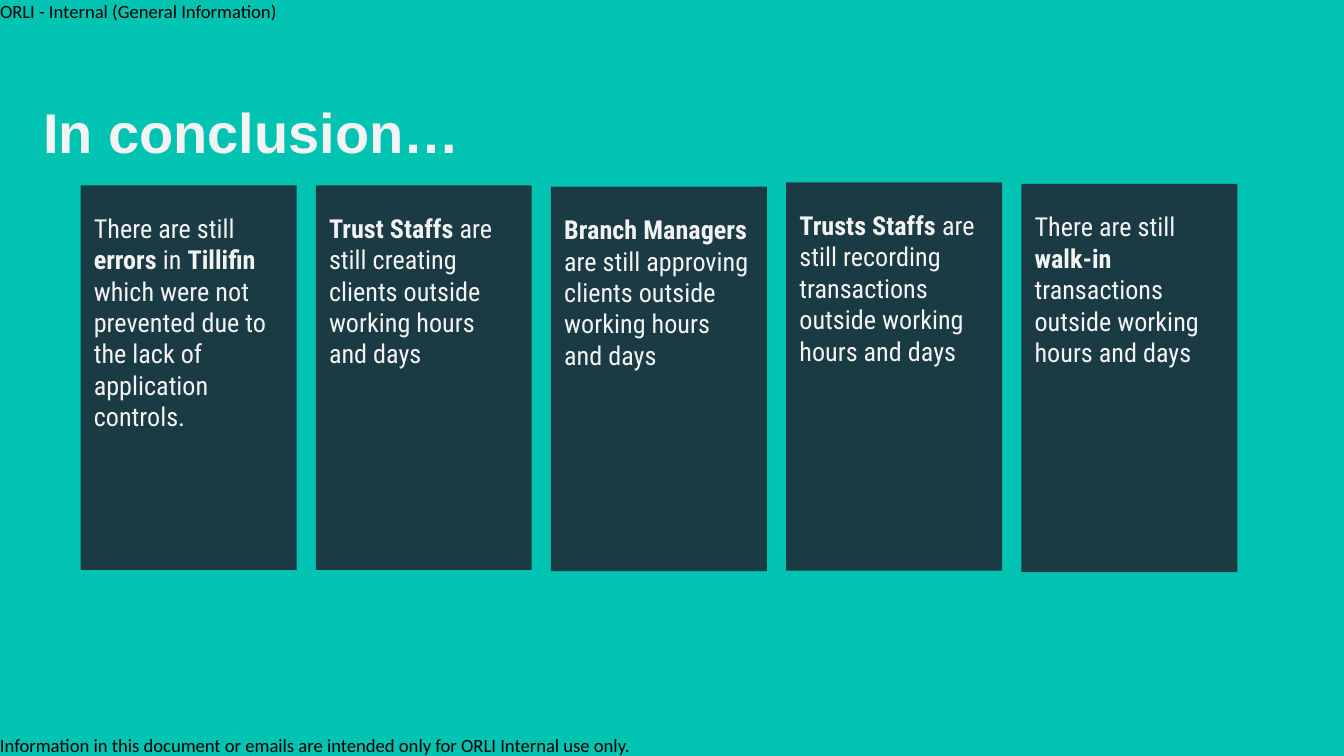
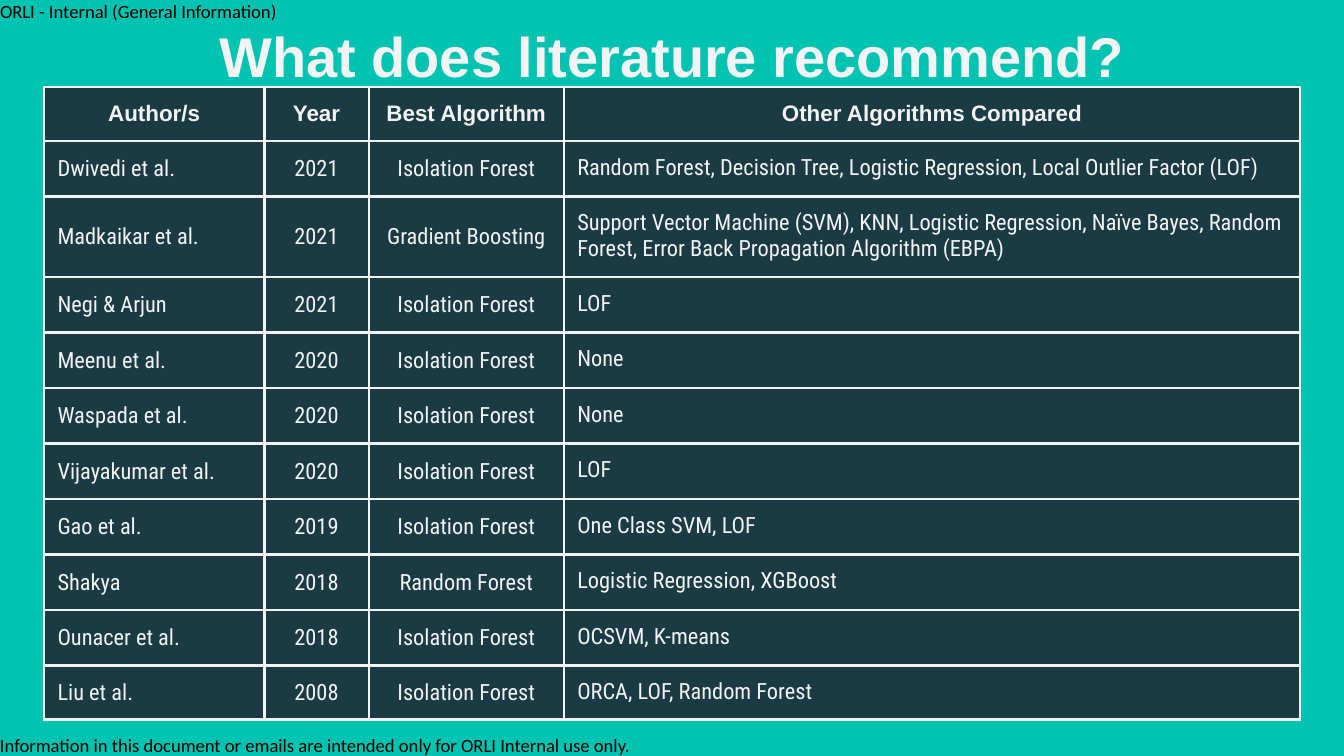
from dataclasses import dataclass

from lxml import etree
from pptx import Presentation
from pptx.dml.color import RGBColor
from pptx.enum.shapes import MSO_SHAPE
from pptx.enum.text import MSO_ANCHOR, PP_ALIGN
from pptx.oxml.ns import qn
from pptx.slide import Slide
from pptx.table import _Cell
from pptx.text.text import TextFrame, _Paragraph
from pptx.util import Pt

RECTANGLE = MSO_SHAPE.RECTANGLE
LEFT, CENTER = PP_ALIGN.LEFT, PP_ALIGN.CENTER
TOP, MIDDLE = MSO_ANCHOR.TOP, MSO_ANCHOR.MIDDLE

COLORS = {"background": "00C3B1", "panel": "1A3B43", "light": "F3F3F3", "label": "000000"}
HEADING_FONT = "Arial"
BODY_FONT = "Roboto Condensed"
LABEL_FONT = "Calibri"
SLIDE_WIDTH, SLIDE_HEIGHT = 720, 405
PADDING = 7.2

CARD_LEFT, CARD_WIDTH, CARD_STEP = 43.2, 115.7, 126
TABLE_LEFT, TABLE_TOP = 23.6, 46.6
COLUMN_WIDTHS = [118, 56, 104.5, 394.5]
HEADER_HEIGHT, ROW_HEIGHT, TALL_ROW_HEIGHT, LAST_ROW_HEIGHT = 27.8, 29.75, 42.6, 28.4
BORDER_WIDTH = 1.5


@dataclass(frozen=True)
class Label:
    text: str
    top: float
    width: float


@dataclass(frozen=True)
class Title:
    text: str
    left: float
    top: float
    width: float
    alignment: PP_ALIGN


@dataclass(frozen=True)
class Card:
    top: float
    height: float
    runs: tuple[tuple[str, bool], ...]


@dataclass(frozen=True)
class Study:
    authors: str
    year: str
    best: str
    others: str
    height: float = ROW_HEIGHT


LABELS = [
    Label("ORLI - Internal (General Information)", 0, 150.5),
    Label("Information in this document or emails are intended only for ORLI Internal use only.",
          393, 341.3),
]

CONCLUSION_TITLE = Title("In conclusion…", 16, 42, 661.7, LEFT)
LITERATURE_TITLE = Title("What does literature recommend?", 56.6, 1.4, 607, CENTER)

CARDS = [
    Card(99.3, 206, (("There are still ", False), ("errors", True), (" in ", False),
                     ("Tillifin", True),
                     (" which were not prevented due to the lack of application controls.", False))),
    Card(99.3, 206, (("Trust Staffs ", True),
                     ("are still creating clients outside working hours and days", False))),
    Card(100, 206, (("Branch Managers ", True),
                    ("are still approving clients outside working hours and days", False))),
    Card(97.8, 208, (("Trusts Staffs ", True),
                     ("are still recording transactions outside working hours and days", False))),
    Card(98.6, 208, (("There are still ", False), ("walk-in", True),
                     (" transactions outside working hours and days", False))),
]

FOREST = "Isolation Forest"
STUDIES = [
    Study("Author/s", "Year", "Best Algorithm", "Other Algorithms Compared", HEADER_HEIGHT),
    Study("Dwivedi et al.", "2021", FOREST,
          "Random Forest, Decision Tree, Logistic Regression, Local Outlier Factor (LOF)"),
    Study("Madkaikar et al.", "2021", "Gradient Boosting",
          "Support Vector Machine (SVM), KNN, Logistic Regression, Naïve Bayes, Random Forest, "
          "Error Back Propagation Algorithm (EBPA)", TALL_ROW_HEIGHT),
    Study("Negi & Arjun", "2021", FOREST, "LOF"),
    Study("Meenu et al.", "2020", FOREST, "None"),
    Study("Waspada et al.", "2020", FOREST, "None"),
    Study("Vijayakumar et al.", "2020", FOREST, "LOF"),
    Study("Gao et al.", "2019", FOREST, "One Class SVM, LOF"),
    Study("Shakya", "2018", "Random Forest", "Logistic Regression, XGBoost"),
    Study("Ounacer et al.", "2018", FOREST, "OCSVM, K-means"),
    Study("Liu et al.", "2008", FOREST, "ORCA, LOF, Random Forest", LAST_ROW_HEIGHT),
]


def color(name: str) -> RGBColor:
    return RGBColor.from_string(COLORS[name])


def style(paragraph: _Paragraph, name: str, size: float, color_name: str,
          bold: bool | None = None, alignment: PP_ALIGN = LEFT) -> None:
    paragraph.alignment = alignment
    font = paragraph.font
    font.name, font.size, font.bold = name, Pt(size), bold
    font.color.rgb = color(color_name)


def set_margins(target: TextFrame | _Cell, left: float, top: float,
                right: float, bottom: float) -> None:
    target.margin_left, target.margin_top = Pt(left), Pt(top)
    target.margin_right, target.margin_bottom = Pt(right), Pt(bottom)


def add_label(slide: Slide, label: Label) -> None:
    box = slide.shapes.add_textbox(Pt(0), Pt(label.top), Pt(label.width), Pt(12))
    frame = box.text_frame
    set_margins(frame, 0, 0, 0, 0)
    frame.text = label.text
    style(frame.paragraphs[0], LABEL_FONT, 10, "label")


def add_title(slide: Slide, title: Title) -> None:
    box = slide.shapes.add_textbox(Pt(title.left), Pt(title.top), Pt(title.width), Pt(45))
    frame = box.text_frame
    frame.word_wrap = True
    frame.vertical_anchor = TOP
    set_margins(frame, PADDING, 10, PADDING, 0)
    frame.text = title.text
    style(frame.paragraphs[0], HEADING_FONT, 30, "light", True, title.alignment)


def add_slide(presentation: Presentation, title: Title) -> Slide:
    slide = presentation.slides.add_slide(presentation.slide_layouts[6])
    fill = slide.background.fill
    fill.solid()
    fill.fore_color.rgb = color("background")
    for label in LABELS:
        add_label(slide, label)
    add_title(slide, title)
    return slide


def add_card(slide: Slide, card: Card, left: float) -> None:
    shape = slide.shapes.add_shape(RECTANGLE, Pt(left), Pt(card.top),
                                   Pt(CARD_WIDTH), Pt(card.height))
    shape.shadow.inherit = False
    shape.fill.solid()
    shape.fill.fore_color.rgb = color("panel")
    shape.line.fill.background()
    frame = shape.text_frame
    frame.word_wrap = True
    frame.vertical_anchor = TOP
    set_margins(frame, PADDING, 14.4, PADDING, 0)
    paragraph = frame.paragraphs[0]
    style(paragraph, BODY_FONT, 14, "light")
    for text, bold in card.runs:
        run = paragraph.add_run()
        run.text = text
        run.font.bold = bold


def add_borders(cell: _Cell) -> None:
    properties = cell._tc.get_or_add_tcPr()
    for position, side in enumerate(("a:lnL", "a:lnR", "a:lnT", "a:lnB")):
        line = etree.Element(qn(side), w=str(Pt(BORDER_WIDTH)))
        fill = etree.SubElement(line, qn("a:solidFill"))
        etree.SubElement(fill, qn("a:srgbClr"), val=COLORS["light"])
        properties.insert(position, line)


def fill_cell(cell: _Cell, text: str, is_header: bool, column: int) -> None:
    is_last = column == len(COLUMN_WIDTHS) - 1
    cell.fill.solid()
    cell.fill.fore_color.rgb = color("panel")
    add_borders(cell)
    set_margins(cell, PADDING, PADDING, PADDING, PADDING)
    cell.vertical_anchor = TOP if is_last and not is_header else MIDDLE
    cell.text = text
    style(cell.text_frame.paragraphs[0], HEADING_FONT if is_header else BODY_FONT, 12, "light",
          is_header, CENTER if is_header or column in (1, 2) else LEFT)


def add_studies(slide: Slide) -> None:
    height = sum(study.height for study in STUDIES)
    frame = slide.shapes.add_table(len(STUDIES), len(COLUMN_WIDTHS), Pt(TABLE_LEFT),
                                   Pt(TABLE_TOP), Pt(sum(COLUMN_WIDTHS)), Pt(height))
    table = frame.table
    for column, width in zip(table.columns, COLUMN_WIDTHS):
        column.width = Pt(width)
    for row_index, study in enumerate(STUDIES):
        table.rows[row_index].height = Pt(study.height)
        texts = (study.authors, study.year, study.best, study.others)
        for column_index, text in enumerate(texts):
            fill_cell(table.cell(row_index, column_index), text, row_index == 0, column_index)


def main() -> None:
    presentation = Presentation()
    presentation.slide_width, presentation.slide_height = Pt(SLIDE_WIDTH), Pt(SLIDE_HEIGHT)
    conclusion = add_slide(presentation, CONCLUSION_TITLE)
    for index, card in enumerate(CARDS):
        add_card(conclusion, card, CARD_LEFT + index * CARD_STEP)
    literature = add_slide(presentation, LITERATURE_TITLE)
    add_studies(literature)
    presentation.save("out.pptx")


if __name__ == "__main__":
    main()
